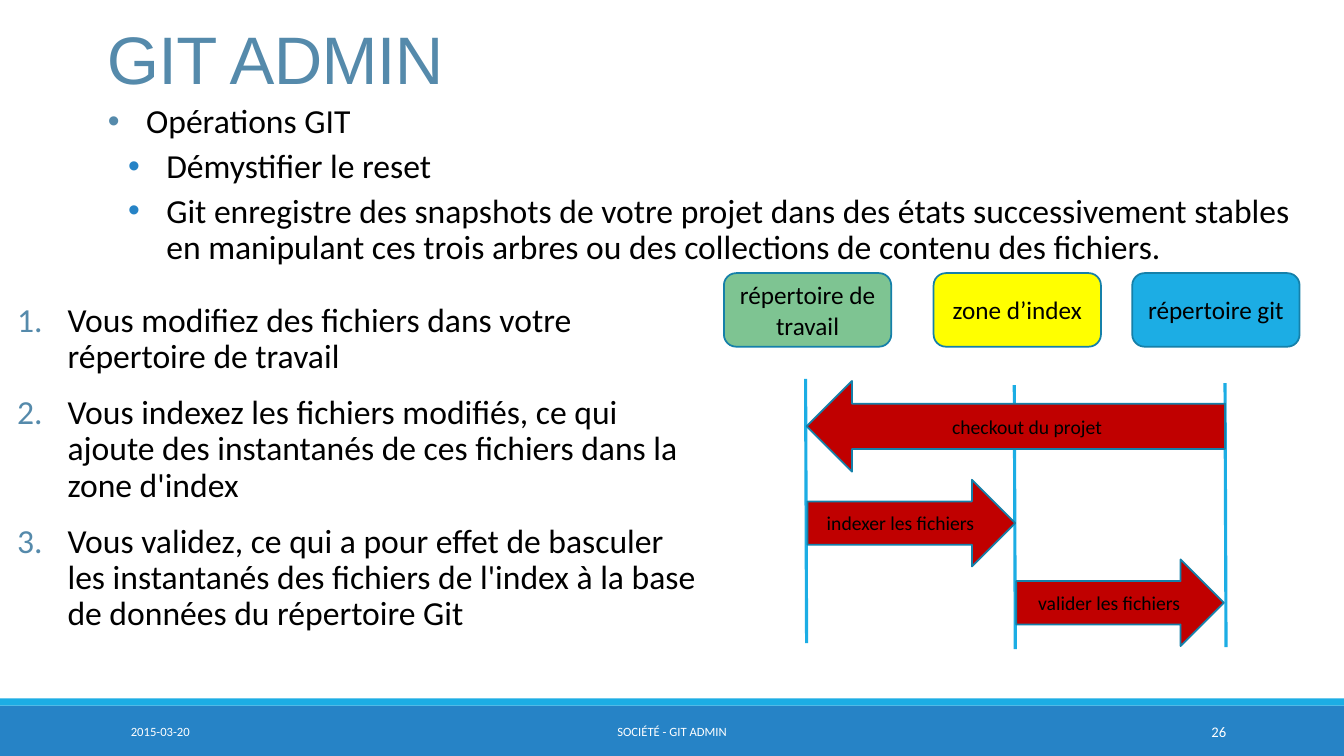
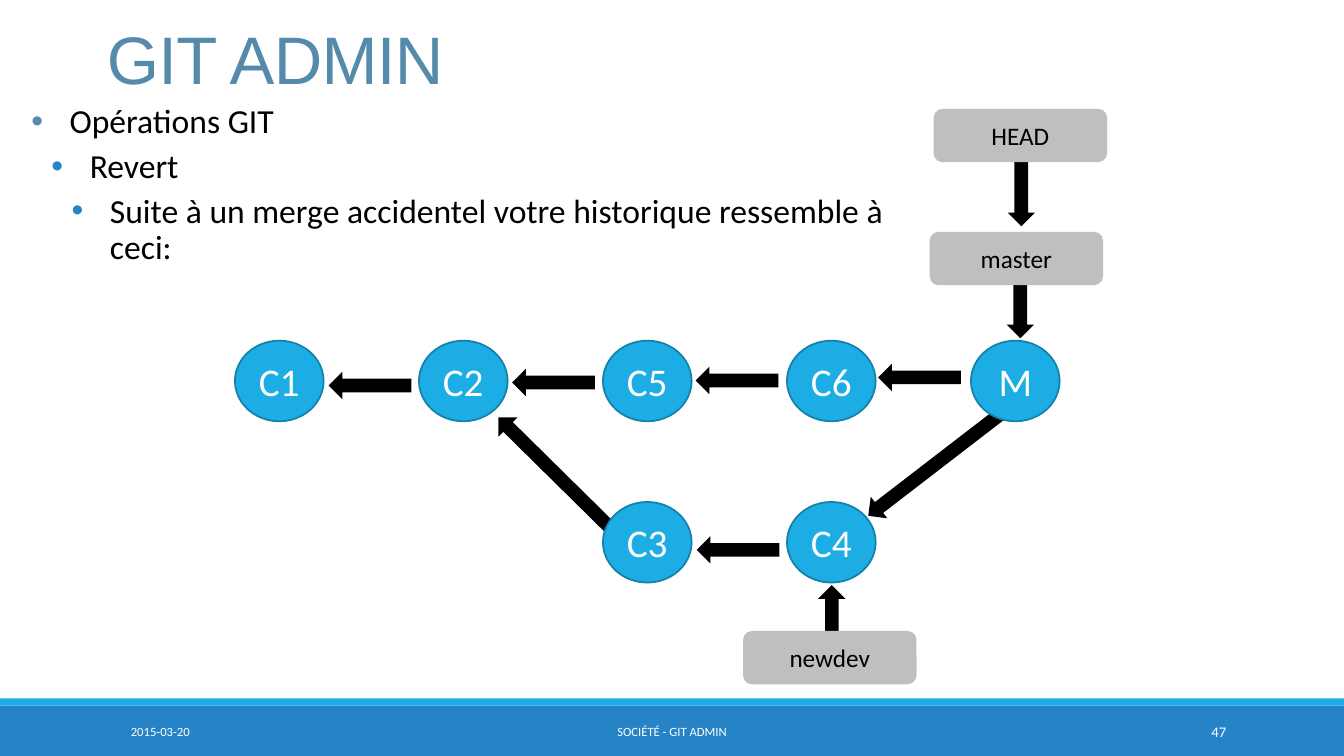
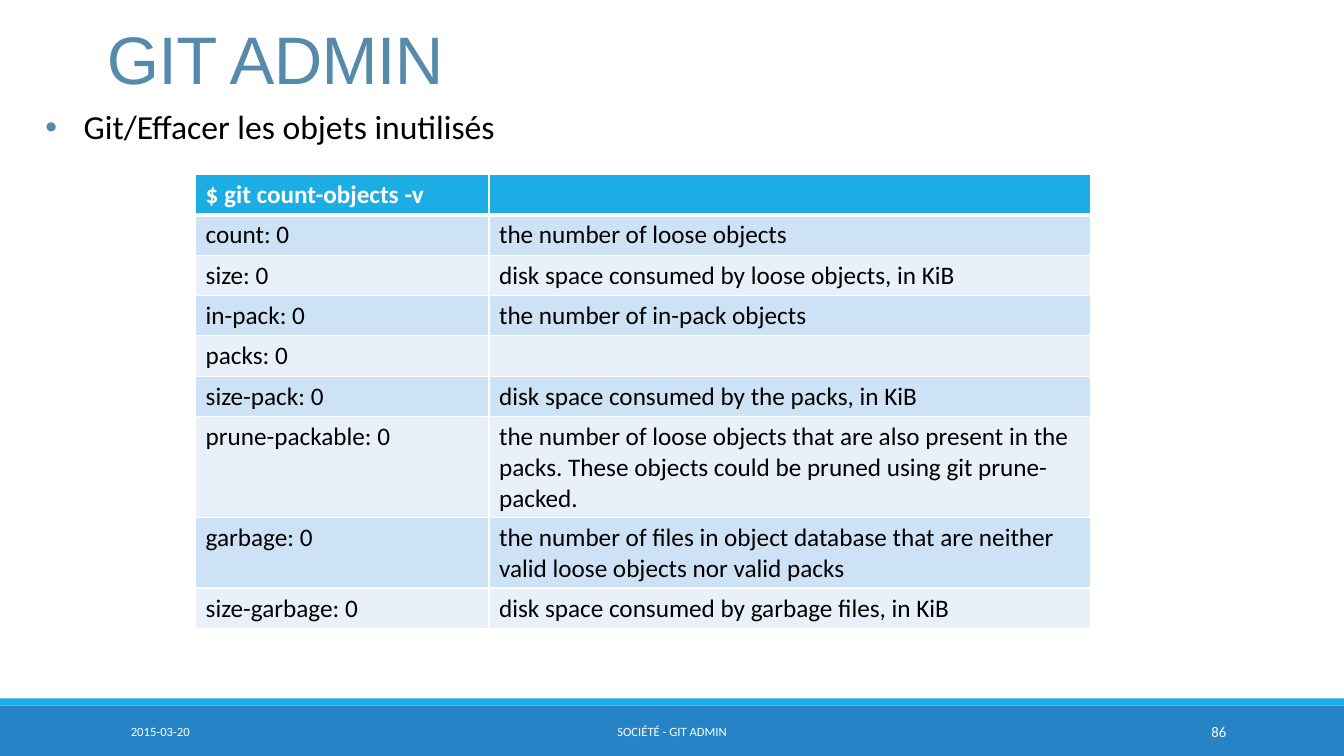
from lxml import etree
from pptx import Presentation
from pptx.dml.color import RGBColor
from pptx.enum.shapes import MSO_CONNECTOR, MSO_SHAPE
from pptx.enum.text import MSO_ANCHOR, PP_ALIGN
from pptx.oxml.ns import qn
from pptx.util import Inches, Pt

LEFT, CENTER, RIGHT = PP_ALIGN.LEFT, PP_ALIGN.CENTER, PP_ALIGN.RIGHT
TOP, MIDDLE = MSO_ANCHOR.TOP, MSO_ANCHOR.MIDDLE
RECTANGLE, OVAL = MSO_SHAPE.RECTANGLE, MSO_SHAPE.OVAL
ROUNDED, PROCESS = MSO_SHAPE.ROUNDED_RECTANGLE, MSO_SHAPE.FLOWCHART_ALTERNATE_PROCESS
LEFT_ARROW, RIGHT_ARROW = MSO_SHAPE.LEFT_ARROW, MSO_SHAPE.RIGHT_ARROW
STRAIGHT = MSO_CONNECTOR.STRAIGHT

BLACK, WHITE, GRAY = "000000", "FFFFFF", "BFBFBF"
SKY, BLUE, STEEL, OUTLINE = "1CADE4", "2683C6", "558AAB", "1580A9"
GREEN, YELLOW, RED = "7EC492", "FFFF00", "C00000"
ROW_FILLS = ("E8F1FA", "CDE3F5")
BODY_FONT, TITLE_FONT = "Calibri", "Arial"

TITLE = "GIT ADMIN"
DATE = "2015-03-20"
FOOTER = "SOCIÉTÉ - GIT ADMIN"

BODY_FORMAT = {"line_spacing": 0.9, "space_before": Pt(2), "space_after": Pt(4)}
STEP_FORMAT = {"line_spacing": 0.9, "space_before": Pt(12), "space_after": Pt(2)}


def color(value):
    return RGBColor.from_string(value)


def set_values(target, values):
    for name, value in values.items():
        setattr(target, name, value)


def add_run(paragraph, text, size, text_color=BLACK, font=BODY_FONT, bold=False):
    run = paragraph.add_run()
    run.text = text
    set_values(run.font, {"name": font, "size": Pt(size), "bold": bold})
    run.font.color.rgb = color(text_color)
    return run


def add_box(slide, left, top, width, height, inset=(0.1, 0.05), anchor=TOP):
    """Add an empty text box and return its text frame."""
    frame = slide.shapes.add_textbox(
        Inches(left), Inches(top), Inches(width), Inches(height)).text_frame
    side, edge = Inches(inset[0]), Inches(inset[1])
    set_values(frame, {
        "word_wrap": True, "vertical_anchor": anchor,
        "margin_left": side, "margin_right": side,
        "margin_top": edge, "margin_bottom": edge})
    return frame


def add_shape(slide, kind, left, top, width, height, fill, line=None,
              text=None, size=18, text_color=BLACK):
    shape = slide.shapes.add_shape(
        kind, Inches(left), Inches(top), Inches(width), Inches(height))
    shape.shadow.inherit = False
    shape.fill.solid()
    shape.fill.fore_color.rgb = color(fill)
    if line:
        shape.line.color.rgb = color(line)
        shape.line.width = Pt(1.25)
    else:
        shape.line.fill.background()
    if text:
        set_values(shape.text_frame, {"word_wrap": True, "vertical_anchor": MIDDLE})
        paragraph = shape.text_frame.paragraphs[0]
        paragraph.alignment = CENTER
        add_run(paragraph, text, size, text_color)
    return shape


def add_line(slide, start, end):
    connector = slide.shapes.add_connector(
        STRAIGHT, *(Inches(value) for value in start + end))
    connector.line.color.rgb = color(SKY)
    connector.line.width = Pt(2.25)
    etree.SubElement(connector._element.spPr, qn("a:effectLst"))


def add_list_item(frame, text, values, margin, indent, bullet, bullet_color):
    """Fill the first free paragraph; bullet is an XML tag with its attributes."""
    paragraph = frame.paragraphs[0]
    if paragraph.runs:
        paragraph = frame.add_paragraph()
        set_values(paragraph, values)
    else:
        set_values(paragraph, {**values, "space_before": Pt(0)})
    properties = paragraph._p.get_or_add_pPr()
    properties.set("marL", str(Inches(margin)))
    properties.set("indent", str(Inches(-indent)))
    tint = etree.SubElement(properties, qn("a:buClr"))
    etree.SubElement(tint, qn("a:srgbClr"), val=bullet_color)
    tag, attributes = bullet
    if tag == "a:buChar":
        etree.SubElement(properties, qn("a:buFont"), typeface="Arial")
    etree.SubElement(properties, qn(tag), attributes)
    add_run(paragraph, text, 24)
    return paragraph


def add_bullets(slide, left, top, width, height, items):
    """Add body text; items are (level, text) pairs."""
    frame = add_box(slide, left, top, width, height, inset=(0, 0.05))
    for level, text in items:
        paragraph = add_list_item(
            frame, text, BODY_FORMAT, 0.69 + 0.2 * level, 0.38,
            ("a:buChar", {"char": "•"}), BLUE if level else STEEL)
        paragraph.level = level


def add_steps(slide, left, top, width, height, steps):
    frame = add_box(slide, left, top, width, height, inset=(0, 0))
    for step in steps:
        add_list_item(frame, step, STEP_FORMAT, 0.5, 0.5,
                      ("a:buAutoNum", {"type": "arabicPeriod"}), STEEL)


def add_base_slide(presentation, number):
    """Add a slide with the title, bands and footer that all slides share."""
    slide = presentation.slides.add_slide(presentation.slide_layouts[6])
    add_shape(slide, RECTANGLE, 0, 7, 13.33, 0.5, BLUE)
    add_shape(slide, RECTANGLE, 0, 6.93, 13.33, 0.07, SKY)
    for left, width, text, size, alignment in (
            (1.2, 2.7, DATE, 9, LEFT),
            (4.03, 5.27, FOOTER, 9, CENTER),
            (10.83, 1.43, str(number), 10.5, RIGHT)):
        paragraph = add_box(slide, left, 7.06, width, 0.4, anchor=MIDDLE).paragraphs[0]
        paragraph.alignment = alignment
        add_run(paragraph, text, size, WHITE)
    paragraph = add_box(slide, 1.06, 0.28, 11.22, 0.7, (0, 0), MIDDLE).paragraphs[0]
    paragraph.line_spacing = 0.85
    run = add_run(paragraph, TITLE, 48, STEEL, TITLE_FONT)
    run._r.get_or_add_rPr().set("spc", "-50")
    return slide


def set_borders(cell, top, bottom):
    properties = cell._tc.get_or_add_tcPr()
    for side, width in (("L", 1), ("R", 1), ("T", top), ("B", bottom)):
        border = etree.SubElement(properties, qn(f"a:ln{side}"), w=str(Pt(width)))
        fill = etree.SubElement(border, qn("a:solidFill"))
        etree.SubElement(fill, qn("a:srgbClr"), val=WHITE)


def add_table(slide, left, top, widths, row_height, rows):
    table = slide.shapes.add_table(
        len(rows), len(widths), Inches(left), Inches(top),
        Inches(sum(widths)), Inches(row_height * len(rows))).table
    for column, width in zip(table.columns, widths):
        column.width = Inches(width)
    for row_index, row in enumerate(rows):
        header = row_index == 0
        for column_index, text in enumerate(row):
            cell = table.cell(row_index, column_index)
            set_borders(cell, 3 if row_index == 1 else 1, 3 if header else 1)
            cell.fill.solid()
            cell.fill.fore_color.rgb = color(SKY if header else ROW_FILLS[row_index % 2])
            if text:
                add_run(cell.text_frame.paragraphs[0], text, 18,
                        WHITE if header else BLACK, bold=header)


def build_reset_slide(presentation):
    slide = add_base_slide(presentation, 26)
    add_bullets(slide, 0.76, 0.99, 12.3, 1.64, (
        (0, "Opérations GIT"),
        (1, "Démystifier le reset"),
        (1, "Git enregistre des snapshots de votre projet dans des états successivement "
            "stables en manipulant ces trois arbres ou des collections de contenu des "
            "fichiers.")))
    for left, fill, text in ((7.18, GREEN, "répertoire de travail"),
                             (9.26, YELLOW, "zone d’index"),
                             (11.23, SKY, "répertoire git")):
        add_shape(slide, PROCESS, left, 2.71, 1.66, 0.73, fill, OUTLINE, text)
    for left, top in ((7.99, 3.76), (10.06, 3.82), (12.15, 3.8)):
        add_line(slide, (left, top), (left + 0.01, top + 2.62))
    for kind, left, top, width, height, text in (
            (LEFT_ARROW, 8, 3.78, 4.15, 0.9, "checkout du projet"),
            (RIGHT_ARROW, 8.01, 4.76, 2.06, 0.86, "indexer les fichiers"),
            (RIGHT_ARROW, 10.08, 5.55, 2.06, 0.86, "valider les fichiers")):
        add_shape(slide, kind, left, top, width, height, RED, OUTLINE, text, 14)
    add_steps(slide, 0.17, 3.01, 6.85, 3.78, (
        "Vous modifiez des fichiers dans votre répertoire de travail",
        "Vous indexez les fichiers modifiés, ce qui ajoute des instantanés de ces "
        "fichiers dans la zone d'index",
        "Vous validez, ce qui a pour effet de basculer les instantanés des fichiers de "
        "l'index à la base de données du répertoire Git"))


def build_revert_slide(presentation):
    slide = add_base_slide(presentation, 47)
    add_bullets(slide, 0, 0.99, 9.09, 1.59, (
        (0, "Opérations GIT"),
        (1, "Revert"),
        (2, "Suite à un merge accidentel votre historique ressemble à ceci:")))
    for left, top, length, angle in (
            (9.72, 1.7, 0.82, 270), (9.71, 2.81, 0.82, 270),
            (3.26, 3.69, 0.82, 0), (5.08, 3.66, 0.82, 0),
            (6.9, 3.64, 0.82, 0), (8.71, 3.61, 0.82, 0),
            (6.91, 5.32, 0.82, 0), (7.84, 6.08, 0.82, 90),
            (4.67, 4.67, 1.89, 44.6), (8.4, 4.36, 2.04, 322.4)):
        arrow = add_shape(slide, LEFT_ARROW, left, top, length, 0.27, BLACK)
        arrow.rotation = angle
    for column, row, commit in ((0, 0, "C1"), (1, 0, "C2"), (2, 0, "C5"), (3, 0, "C6"),
                                (4, 0, "M"), (2, 1, "C3"), (3, 1, "C4")):
        add_shape(slide, OVAL, 2.33 + 1.825 * column, 3.38 + 1.6 * row, 0.88, 0.8,
                  SKY, OUTLINE, commit, 28, WHITE)
    for left, top, reference in ((9.26, 1.08, "HEAD"), (9.22, 2.3, "master"),
                                 (7.37, 6.26, "newdev")):
        add_shape(slide, ROUNDED, left, top, 1.72, 0.53, GRAY, text=reference)


def build_cleanup_slide(presentation):
    slide = add_base_slide(presentation, 86)
    add_bullets(slide, 0.14, 1.05, 13.2, 5.71,
                ((0, "Git/Effacer les objets inutilisés"),))
    add_table(slide, 1.94, 1.73, (2.91, 5.97), 0.4, (
        ("$ git count-objects -v", ""),
        ("count: 0", "the number of loose objects"),
        ("size: 0", "disk space consumed by loose objects, in KiB"),
        ("in-pack: 0", "the number of in-pack objects"),
        ("packs: 0", ""),
        ("size-pack: 0", "disk space consumed by the packs, in KiB"),
        ("prune-packable: 0", "the number of loose objects that are also present in the "
                              "packs. These objects could be pruned using git "
                              "prune-packed."),
        ("garbage: 0", "the number of files in object database that are neither valid "
                       "loose objects nor valid packs"),
        ("size-garbage: 0", "disk space consumed by garbage files, in KiB")))


def main():
    presentation = Presentation()
    set_values(presentation, {"slide_width": Inches(13.33), "slide_height": Inches(7.5)})
    build_reset_slide(presentation)
    build_revert_slide(presentation)
    build_cleanup_slide(presentation)
    presentation.save("out.pptx")


if __name__ == "__main__":
    main()
